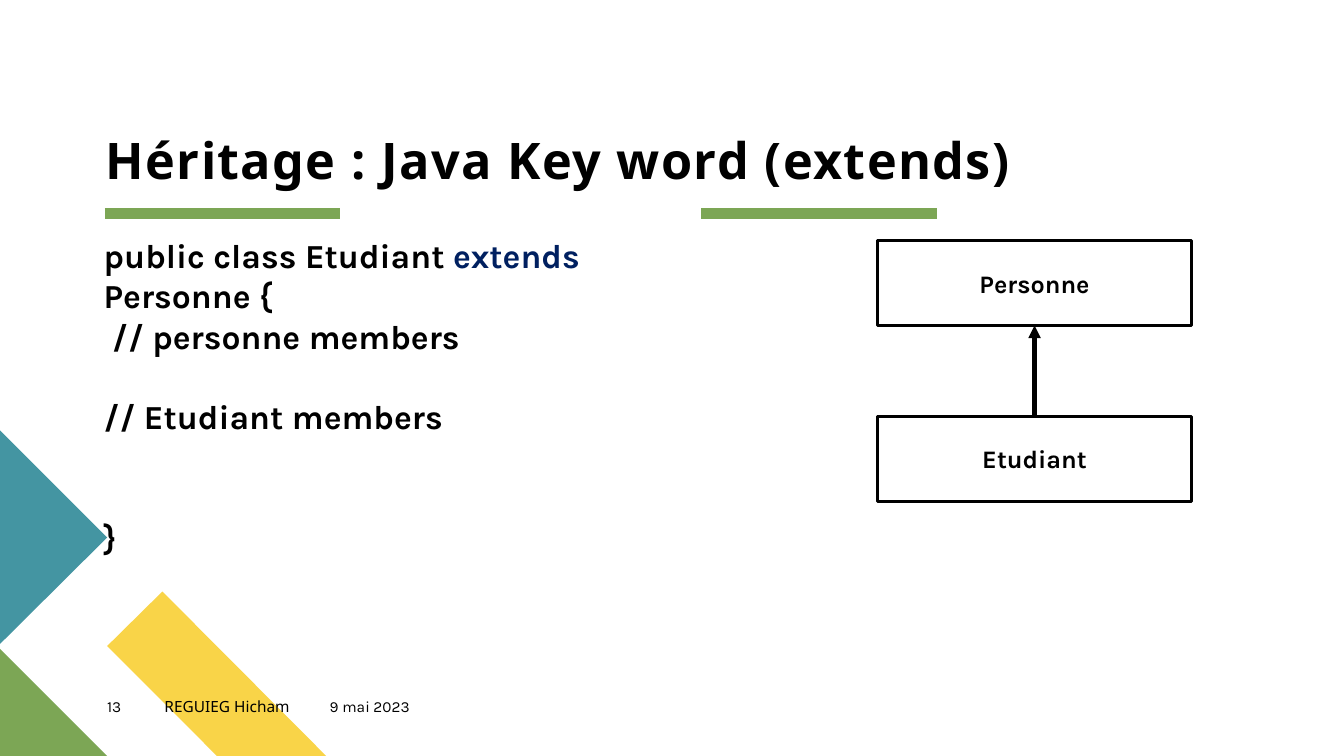
from pptx import Presentation
from pptx.dml.color import RGBColor
from pptx.enum.shapes import MSO_CONNECTOR, MSO_SHAPE
from pptx.enum.text import MSO_ANCHOR, PP_ALIGN
from pptx.oxml.ns import qn
from pptx.util import Pt
from lxml.etree import SubElement

BLACK = RGBColor(0x00, 0x00, 0x00)
NAVY = RGBColor(0x00, 0x20, 0x60)
GREEN = RGBColor(0x7C, 0xA6, 0x55)
YELLOW = RGBColor(0xF9, 0xD4, 0x48)
TEAL = RGBColor(0x44, 0x95, 0xA2)

CORNER_SHAPES = [
    (YELLOW, [(233, 540), (155, 540), (76.5, 461.5), (116, 422.5)]),
    (GREEN, [(76.5, 540), (0, 540), (0, 463.5)]),
    (TEAL, [(0, 307.5), (76.5, 384), (0, 460)]),
]
RULE_LEFTS = [75, 501]
RULE_WIDTH, RULE_TOP = 168, 152.8

TITLE = "Héritage : Java Key word (extends)"
FOOTER = [
    ("13", 76.5, 41, "Karla"),
    ("REGUIEG Hicham", 117.5, 118, "Noto Sans"),
    ("9 mai 2023", 235.5, 104, "Karla"),
]
CODE_LINE = 28.7
CODE = [
    (0, [("public class Etudiant ", BLACK), ("extends", NAVY), (" Personne {", BLACK)]),
    (0, [(" // personne members", BLACK)]),
    (1, [("// Etudiant members", BLACK)]),
    (2, [("}", BLACK)]),
]
CLASSES = [("Personne", 172), ("Etudiant", 297.5)]
CLASS_LEFT, CLASS_WIDTH, CLASS_HEIGHT = 627, 224, 60.5


def add_span(para, text, size, font="Karla", color=BLACK, bold=False):
    span = para.add_run()
    span.text = text
    for name, value in {"name": font, "size": Pt(size), "bold": bold}.items():
        setattr(span.font, name, value)
    span.font.color.rgb = color
    return span


def add_box(page, left, top, width, height, **settings):
    box = page.shapes.add_textbox(Pt(left), Pt(top), Pt(width), Pt(height))
    frame = box.text_frame
    for name, value in {"word_wrap": True, **settings}.items():
        setattr(frame, name, value)
    return frame


def add_line(page, start, end, color, width):
    line = page.shapes.add_connector(
        MSO_CONNECTOR.STRAIGHT, *[Pt(value) for value in start + end])
    line.line.color.rgb = color
    line.line.width = Pt(width)
    SubElement(line._element.spPr, qn("a:effectLst"))
    return line


def add_corner(page, color, points):
    (left, top), *others = [(Pt(x), Pt(y)) for x, y in points]
    builder = page.shapes.build_freeform(left, top)
    builder.add_line_segments(others, close=True)
    shape = builder.convert_to_shape()
    shape.shadow.inherit = False
    shape.fill.solid()
    shape.fill.fore_color.rgb = color
    shape.line.fill.background()


def add_class(page, name, top):
    box = page.shapes.add_shape(
        MSO_SHAPE.RECTANGLE, Pt(CLASS_LEFT), Pt(top), Pt(CLASS_WIDTH), Pt(CLASS_HEIGHT))
    box.shadow.inherit = False
    box.fill.background()
    box.line.color.rgb = BLACK
    box.line.width = Pt(2.25)
    box.text_frame.vertical_anchor = MSO_ANCHOR.MIDDLE
    para = box.text_frame.paragraphs[0]
    para.alignment = PP_ALIGN.CENTER
    add_span(para, name, 18, bold=True)
    return box


def main():
    deck = Presentation()
    deck.slide_width, deck.slide_height = Pt(960), Pt(540)
    page = deck.slides.add_slide(deck.slide_layouts[6])
    no_margins = dict.fromkeys(
        ["margin_left", "margin_top", "margin_right", "margin_bottom"], 0)

    for color, points in CORNER_SHAPES:
        add_corner(page, color, points)
    for left in RULE_LEFTS:
        add_line(page, (left, RULE_TOP), (left + RULE_WIDTH, RULE_TOP), GREEN, 8)

    title = add_box(page, 75.6, 21.6, 663, 113.8,
                    vertical_anchor=MSO_ANCHOR.BOTTOM, **no_margins)
    para = title.paragraphs[0]
    para.line_spacing, para.space_after = 1.15, Pt(10)
    span = add_span(para, TITLE, 36, "Noto Sans", bold=True)
    span.font._element.set("spc", "100")

    for text, left, width, font in FOOTER:
        frame = add_box(page, left, 498.2, width, 19.4, **no_margins)
        add_span(frame.paragraphs[0], text, 11, font)

    code = add_box(page, 67, 164.2, 434, 211)
    for index, (skipped, spans) in enumerate(CODE):
        para = code.add_paragraph() if index else code.paragraphs[0]
        para.space_before = Pt(skipped * CODE_LINE)
        for text, color in spans:
            add_span(para, text, 24, color=color, bold=True)

    parent, child = [add_class(page, name, top) for name, top in CLASSES]
    center = CLASS_LEFT + CLASS_WIDTH / 2
    arrow = add_line(page, (center, CLASSES[1][1]),
                     (center, CLASSES[0][1] + CLASS_HEIGHT), BLACK, 3)
    arrow.begin_connect(child, 0)
    arrow.end_connect(parent, 2)
    SubElement(arrow.line._get_or_add_ln(), qn("a:tailEnd"), type="triangle")

    deck.save("out.pptx")


if __name__ == "__main__":
    main()
